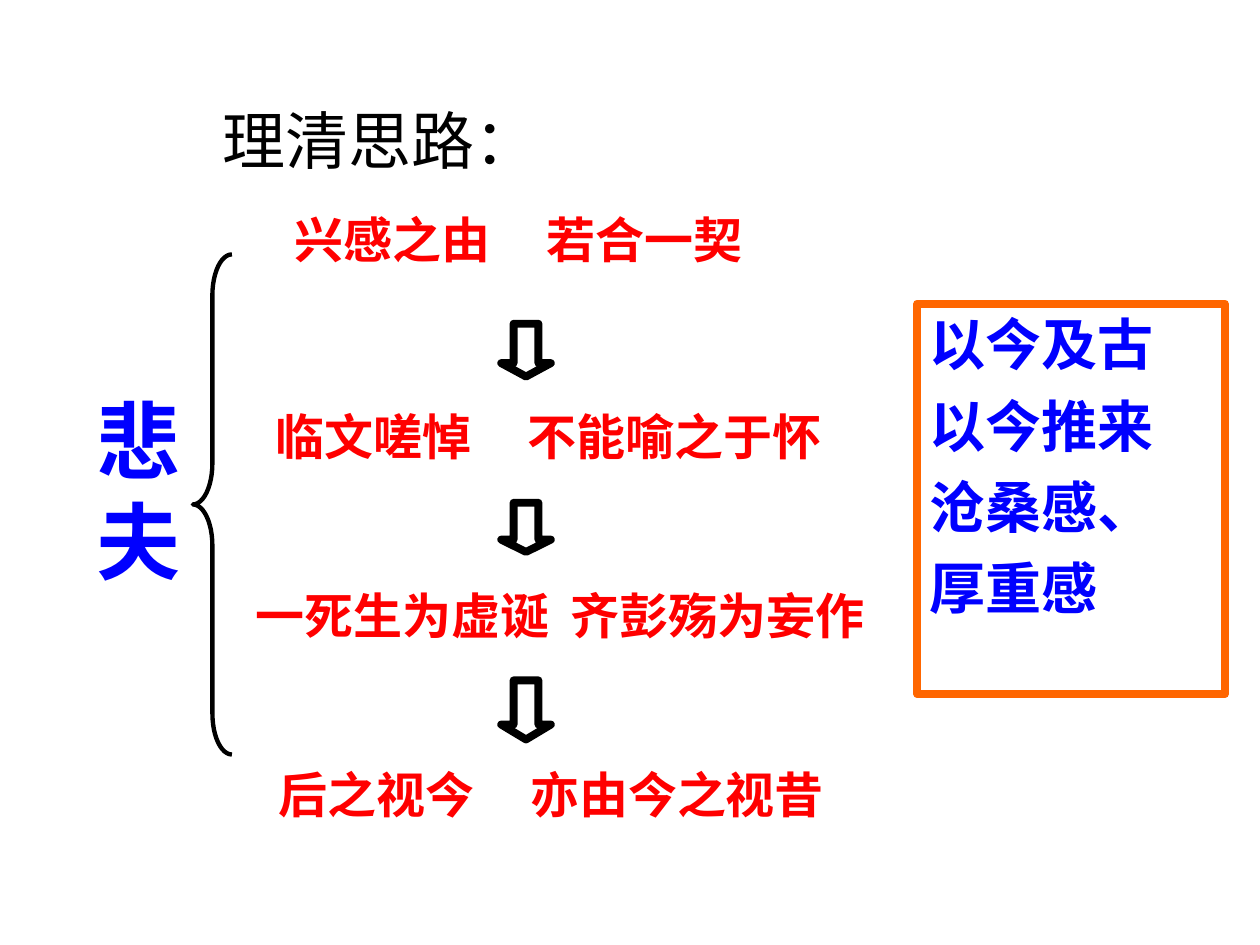
import pptx
import pptx.dml.color
import pptx.enum.shapes
import pptx.enum.text
import pptx.oxml
import pptx.oxml.ns
import pptx.util

Pt = pptx.util.Pt
SHAPES = pptx.enum.shapes.MSO_SHAPE
COLOURS = {
    "black": "000000",
    "white": "FFFFFF",
    "red": "FF0000",
    "blue": "0000FF",
    "orange": "FF6600",
}
SERIF = "Times New Roman"
SANS = "Noto Sans CJK SC"


def colour(name):
    return pptx.dml.color.RGBColor.from_string(COLOURS[name])


def write_text(shape, lines, size, font, colour_name, bold=True):
    frame = shape.text_frame
    frame.word_wrap = True
    frame.auto_size = pptx.enum.text.MSO_AUTO_SIZE.SHAPE_TO_FIT_TEXT
    frame.vertical_anchor = pptx.enum.text.MSO_ANCHOR.TOP
    for index, line in enumerate(lines):
        paragraph = frame.add_paragraph() if index else frame.paragraphs[0]
        paragraph.alignment = pptx.enum.text.PP_ALIGN.LEFT
        paragraph.space_before = Pt(8 if index else 0)
        run = paragraph.add_run()
        run.text = line
        run.font.name = font
        run.font.size = Pt(size)
        run.font.bold = bold
        run.font.color.rgb = colour(colour_name)


def add_text(slide, box, line, size, font, colour_name, bold=True):
    shape = slide.shapes.add_textbox(*map(Pt, box))
    write_text(shape, [line], size, font, colour_name, bold)
    return shape


def add_phrase_pair(slide, box, phrases, tab, font):
    shape = add_text(slide, box, "\t".join(phrases), 28, font, "red")
    properties = shape.text_frame.paragraphs[0]._p.get_or_add_pPr()
    properties.append(pptx.oxml.parse_xml(
        f'<a:tabLst {pptx.oxml.ns.nsdecls("a")}>'
        f'<a:tab pos="{int(Pt(tab))}" algn="l"/></a:tabLst>'
    ))


def add_outline(slide, kind, box, line, width, fill=None, adjustments=()):
    shape = slide.shapes.add_shape(kind, *map(Pt, box))
    shape.shadow.inherit = False
    if fill:
        shape.fill.solid()
        shape.fill.fore_color.rgb = colour(fill)
    else:
        shape.fill.background()
    shape.line.color.rgb = colour(line)
    shape.line.width = Pt(width)
    for index, value in enumerate(adjustments):
        shape.adjustments[index] = value
    return shape


def main():
    presentation = pptx.Presentation()
    presentation.slide_width = Pt(720)
    presentation.slide_height = Pt(540)
    slide = presentation.slides.add_slide(presentation.slide_layouts[6])

    add_text(slide, (48.2, 218.9, 102.2, 122.4), "悲夫", 48, SERIF, "blue")

    phrase_rows = [
        (161.3, 115.9, 354.2, ("兴感之由", "若合一契"), 144, SERIF),
        (150.5, 229, 349.2, ("临文嗟悼", "不能喻之于怀"), 144, SERIF),
        (139, 331.2, 401, ("一死生为虚诞", "齐彭殇为妄作"), 180, SANS),
        (151.9, 433.4, 332.6, ("后之视今", "亦由今之视昔"), 144, SERIF),
    ]
    for left, top, width, phrases, tab, font in phrase_rows:
        add_phrase_pair(slide, (left, top, width, 41), phrases, tab, font)

    add_outline(slide, SHAPES.LEFT_BRACE, (110.2, 145.4, 22.3, 285.8),
                "black", 2.5, adjustments=(1.05, 0.5))

    for top, height, head in [(185, 30.2, 0.27), (287.3, 28.1, 0.25),
                              (388.8, 33.8, 0.3)]:
        add_outline(slide, SHAPES.DOWN_ARROW, (286.4, top, 28.4, height),
                    "black", 4.5, "white", (0.5, head))

    summary = add_outline(slide, SHAPES.RECTANGLE, (524.2, 173.5, 175.7, 223.2),
                          "orange", 4.5)
    write_text(summary, ["以今及古", "以今推来", "沧桑感、", "厚重感"],
               32, "Arial", "blue")

    add_text(slide, (120.2, 54.7, 358.6, 50.4), "理清思路：", 36, SERIF,
             "black", bold=False)
    presentation.save("out.pptx")


if __name__ == "__main__":
    main()
